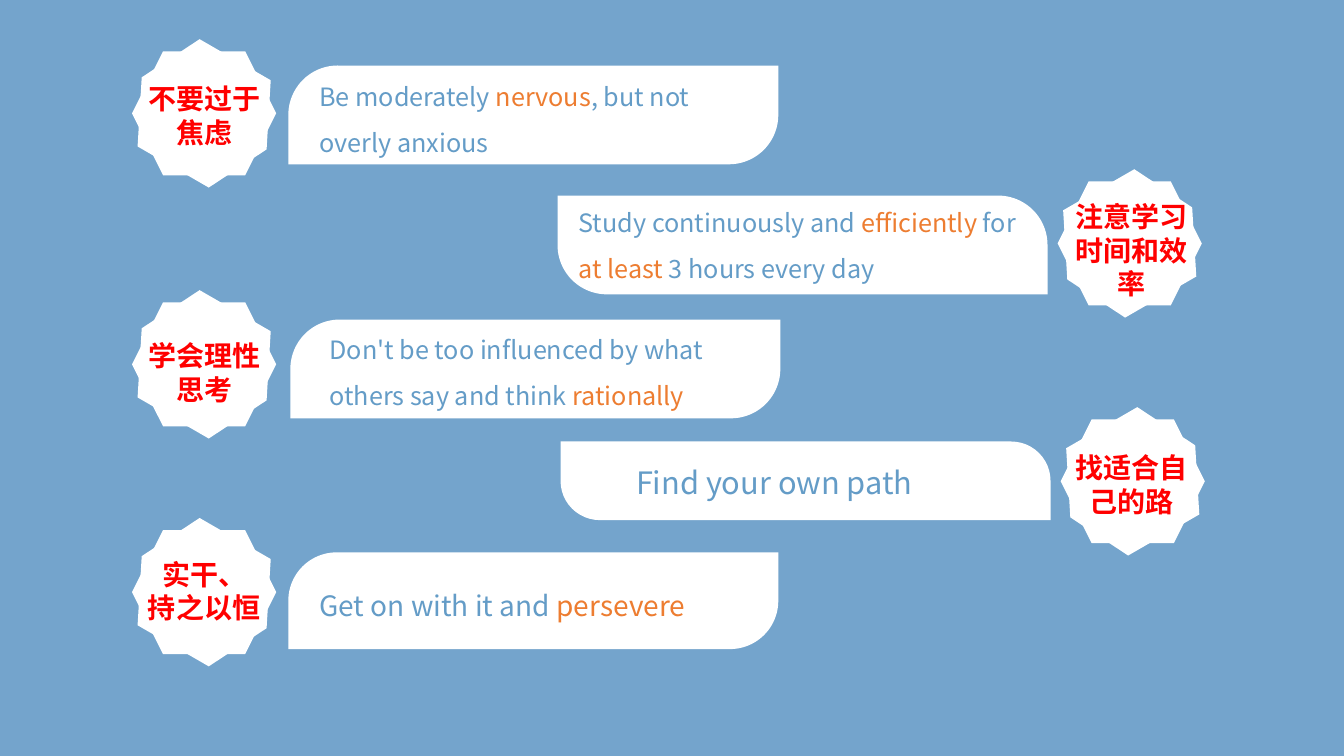
from dataclasses import dataclass

from lxml import etree
from pptx import Presentation
from pptx.dml.color import RGBColor
from pptx.enum.shapes import MSO_SHAPE
from pptx.enum.text import MSO_AUTO_SIZE, PP_ALIGN
from pptx.oxml.ns import qn
from pptx.util import Inches, Pt

HEXAGON = MSO_SHAPE.HEXAGON
LEAF = MSO_SHAPE.ROUND_2_DIAG_RECTANGLE
CENTER, LEFT = PP_ALIGN.CENTER, PP_ALIGN.LEFT
GROW, FIXED = MSO_AUTO_SIZE.SHAPE_TO_FIT_TEXT, MSO_AUTO_SIZE.NONE

FONT = "Noto Sans CJK SC"
BLUE, WHITE, RED = "74A4CC", "FFFFFF", "FF0000"
TEXT_BLUE, ORANGE = "649CC7", "ED7D31"
BADGE_WIDTH, BADGE_HEIGHT, BADGE_TURN = 1.43, 1.23, 30


@dataclass
class Area:
    left: float
    top: float
    width: float
    height: float

    def lengths(self) -> tuple:
        return tuple(map(Inches, (self.left, self.top, self.width, self.height)))


@dataclass
class Advice:
    title: str  # one paragraph per line
    message: str  # words between asterisks are highlighted
    badge: Area
    title_area: Area
    banner: Area
    message_area: Area
    size: int = 18
    on_right: bool = False
    fit: MSO_AUTO_SIZE = GROW


def badge_at(left: float, top: float) -> Area:
    return Area(left, top, BADGE_WIDTH, BADGE_HEIGHT)


ADVICE = [
    Advice("不要过于焦虑", "Be moderately *nervous*, but not overly anxious",
           badge_at(1.31, 0.51), Area(1.35, 0.76, 1.35, 0.77),
           Area(2.86, 0.65, 4.86, 0.98), Area(3.07, 0.61, 4.46, 1.01)),
    Advice("注意学习时间和效率",
           "Study continuously and *efficiently* for *at least* 3 hours every day",
           badge_at(10.49, 1.8), Area(10.52, 1.93, 1.4, 1.11),
           Area(5.53, 1.94, 4.86, 0.98), Area(5.64, 1.86, 4.64, 1.01),
           on_right=True),
    Advice("学会理性思考",
           "Don't be too influenced by what others say and think *rationally*",
           badge_at(1.31, 3), Area(1.31, 3.31, 1.43, 0.77),
           Area(2.88, 3.17, 4.86, 0.98), Area(3.17, 3.12, 4.24, 1.01)),
    Advice("找适合自己的路", "Find your own path",
           badge_at(10.52, 4.16), Area(10.52, 4.42, 1.4, 0.77),
           Area(5.56, 4.38, 4.86, 0.78), Area(6.21, 4.37, 3.99, 0.82),
           size=22, on_right=True, fit=FIXED),
    Advice("实干、\n持之以恒", "Get on with it and *persevere*",
           badge_at(1.31, 5.26), Area(1.31, 5.48, 1.43, 0.77),
           Area(2.86, 5.48, 4.86, 0.96), Area(3.07, 5.62, 4.24, 0.6), size=20),
]


def color(value: str) -> RGBColor:
    return RGBColor.from_string(value)


def add_white_shape(shapes, kind: MSO_SHAPE, area: Area):
    shape = shapes.add_shape(kind, *area.lengths())
    shape.shadow.inherit = False
    shape.fill.solid()
    shape.fill.fore_color.rgb = color(WHITE)
    shape.line.fill.background()
    return shape


def add_badge(page, area: Area, turn: int) -> None:
    """Two crossed hexagons make a twelve-pointed badge."""
    group = page.shapes.add_group_shape()
    for rotation in (0, turn):
        add_white_shape(group.shapes, HEXAGON, area).rotation = rotation


def add_banner(page, area: Area, on_right: bool) -> None:
    banner = add_white_shape(page.shapes, LEAF, area)
    rounding = (0, 0.5) if on_right else (0.5, 0)
    banner.adjustments[0], banner.adjustments[1] = rounding


def add_text(page, area: Area, text: str, size: int, ink: str,
             bold: bool = False, align: PP_ALIGN = LEFT,
             spacing: float = 1.0, fit: MSO_AUTO_SIZE = GROW) -> None:
    frame = page.shapes.add_textbox(*area.lengths()).text_frame
    frame.word_wrap = True
    frame.auto_size = fit
    for number, line in enumerate(text.split("\n")):
        para = frame.add_paragraph() if number else frame.paragraphs[0]
        para.alignment = align
        para.line_spacing = spacing
        font = para.font
        font.size, font.bold, font.name = Pt(size), bold, FONT
        font.color.rgb = color(ink)
        # Chinese characters take the East Asian typeface
        defaults = para._p.pPr.find(qn("a:defRPr"))
        etree.SubElement(defaults, qn("a:ea")).set("typeface", FONT)
        for position, words in enumerate(line.split("*")):
            if words:
                span = para.add_run()
                span.text = words
                if position % 2:
                    span.font.color.rgb = color(ORANGE)


def add_advice(page, advice: Advice) -> None:
    turn = 360 - BADGE_TURN if advice.on_right else BADGE_TURN
    add_badge(page, advice.badge, turn)
    add_banner(page, advice.banner, advice.on_right)
    add_text(page, advice.title_area, advice.title, 20, RED,
             bold=True, align=CENTER)
    add_text(page, advice.message_area, advice.message, advice.size, TEXT_BLUE,
             spacing=1.5, fit=advice.fit)


def main() -> None:
    # Deck and background
    deck = Presentation()
    deck.slide_width, deck.slide_height = Inches(13.33), Inches(7.5)
    page = deck.slides.add_slide(deck.slide_layouts[6])
    page.background.fill.solid()
    page.background.fill.fore_color.rgb = color(BLUE)

    # Five pieces of advice, alternating sides
    for advice in ADVICE:
        add_advice(page, advice)

    deck.save("out.pptx")


if __name__ == "__main__":
    main()
